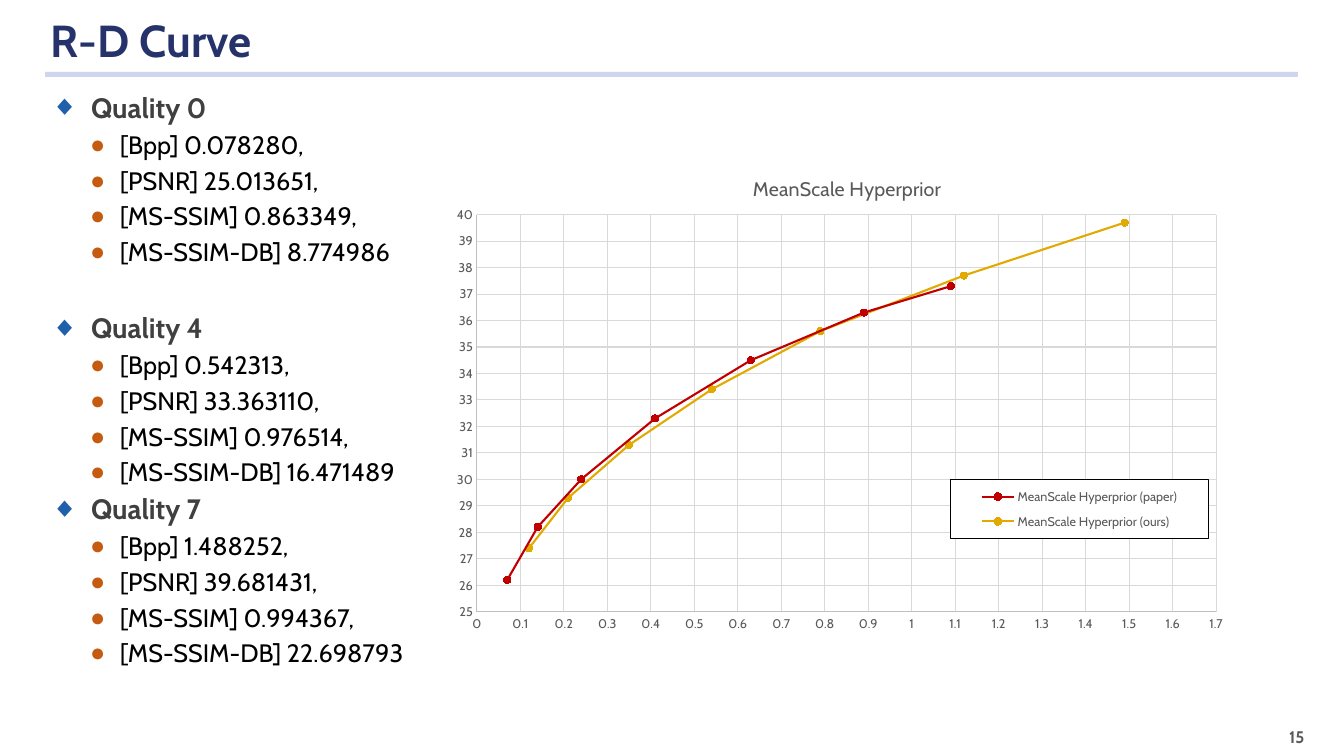
from lxml.etree import SubElement
from pptx import Presentation
from pptx.chart.data import XyChartData
from pptx.dml.color import RGBColor
from pptx.enum.chart import XL_CHART_TYPE, XL_LEGEND_POSITION, XL_MARKER_STYLE, XL_TICK_MARK
from pptx.enum.shapes import MSO_SHAPE
from pptx.enum.text import MSO_ANCHOR, MSO_AUTO_SIZE, PP_ALIGN
from pptx.oxml import parse_xml
from pptx.oxml.ns import nsdecls, qn
from pptx.util import Cm, Pt

FONT = "Cabin"
COLORS = {
    "title": "26336A", "rule": "6275C6", "heading": "404040", "item": "000000",
    "diamond": "2060AA", "dot": "C55A11", "label": "595959", "axis": "BFBFBF",
    "grid": "D9D9D9", "paper": "C00000", "ours": "E2AA00",
}
TITLE = "R-D Curve"
PAGE_NUMBER = "15"
METRICS = ["Bpp", "PSNR", "MS-SSIM", "MS-SSIM-DB"]
QUALITIES = [
    ("Quality 0", 6, ["0.078280,", "25.013651,", "0.863349,", "8.774986"]),
    ("Quality 4", 34, ["0.542313,", "33.363110,", "0.976514,", "16.471489"]),
    ("Quality 7", 6, ["1.488252,", "39.681431,", "0.994367,", "22.698793"]),
]
CHART_TITLE = "MeanScale Hyperprior"
CURVES = [
    ("MeanScale Hyperprior (paper)", "paper",
     [(0.07, 26.2), (0.14, 28.2), (0.24, 30), (0.41, 32.3), (0.63, 34.5), (0.89, 36.3), (1.09, 37.3)]),
    ("MeanScale Hyperprior (ours)", "ours",
     [(0.12, 27.4), (0.21, 29.3), (0.35, 31.3), (0.54, 33.4), (0.79, 35.6), (1.12, 37.7), (1.49, 39.7)]),
]


def color(name):
    return RGBColor.from_string(COLORS[name])


def style_font(font, size, name, bold=False):
    font.name, font.size, font.bold = FONT, Pt(size), bold
    font.color.rgb = color(name)


def style_line(line, name, width):
    line.color.rgb = color(name)
    line.width = Pt(width)


def place(shape, left, top, width, height):
    shape.left, shape.top, shape.width, shape.height = Cm(left), Cm(top), Cm(width), Cm(height)


def add_bullet(paragraph, character, name, margin, hanging):
    properties = paragraph._p.get_or_add_pPr()
    properties.set("marL", str(Cm(margin)))
    properties.set("indent", str(-Cm(hanging)))
    bullet_color = SubElement(properties, qn("a:buClr"))
    SubElement(bullet_color, qn("a:srgbClr")).set("val", COLORS[name])
    SubElement(properties, qn("a:buFont")).set("typeface", "Arial")
    SubElement(properties, qn("a:buChar")).set("char", character)


def set_layout(parent, index, **values):
    for layout in parent.findall(qn("c:layout")):
        parent.remove(layout)
    layout = parent.makeelement(qn("c:layout"), {})
    parent.insert(index, layout)
    manual = SubElement(layout, qn("c:manualLayout"))
    for tag, value in values.items():
        SubElement(manual, qn(f"c:{tag}")).set("val", str(value))


def add_title(slide):
    title = slide.shapes.title
    place(title, 1.02, 0.33, 31.9, 1.5)
    frame = title.text_frame
    frame.text = TITLE
    frame.auto_size = MSO_AUTO_SIZE.NONE
    frame.vertical_anchor = MSO_ANCHOR.MIDDLE
    paragraph = frame.paragraphs[0]
    paragraph.alignment = PP_ALIGN.LEFT
    paragraph.line_spacing = 0.9
    style_font(paragraph.runs[0].font, 32, "title", True)

    rule = slide.shapes.add_shape(MSO_SHAPE.RECTANGLE, Cm(1.14), Cm(1.81), Cm(31.57), Cm(0.13))
    rule.shadow.inherit = False
    rule.fill.solid()
    rule.fill.fore_color.rgb = color("rule")
    rule.line.fill.background()
    fill_color = rule._element.spPr.find(f".//{qn('a:srgbClr')}")
    SubElement(fill_color, qn("a:alpha")).set("val", "30000")


def add_measurements(slide):
    body = slide.placeholders[1]
    place(body, 1.02, 2.24, 31.9, 15.8)
    frame = body.text_frame
    lines = []
    for heading, space, values in QUALITIES:
        lines.append((heading, 0, space))
        lines += [(f"[{metric}] {value}", 1, 6) for metric, value in zip(METRICS, values)]
    frame.text = "\n".join(text for text, _, _ in lines)
    frame.auto_size = MSO_AUTO_SIZE.NONE
    for paragraph, (_, level, space) in zip(frame.paragraphs, lines):
        paragraph.level = level
        paragraph.line_spacing = 0.9
        paragraph.space_before = Pt(space)
        if level:
            add_bullet(paragraph, "●", "dot", 1.75, 0.75)
            style_font(paragraph.runs[0].font, 18, "item")
        else:
            add_bullet(paragraph, "◆", "diamond", 1.02, 1.02)
            style_font(paragraph.runs[0].font, 20, "heading", True)


def style_axis(axis, minimum, maximum, step):
    axis.minimum_scale, axis.maximum_scale, axis.major_unit = minimum, maximum, step
    axis.major_tick_mark = axis.minor_tick_mark = XL_TICK_MARK.NONE
    axis.has_major_gridlines = True
    style_line(axis.major_gridlines.format.line, "grid", 0.75)
    style_line(axis.format.line, "axis", 0.75)
    style_font(axis.tick_labels.font, 9, "label")


def add_legend(chart):
    chart.has_legend = True
    legend = chart.legend
    legend.position = XL_LEGEND_POSITION.RIGHT
    legend.include_in_layout = False
    style_font(legend.font, 9, "label")
    element = legend._element
    set_layout(element, 1, xMode="edge", yMode="edge", x=0.63, y=0.652, w=0.315, h=0.116)
    element.find(qn("c:overlay")).addnext(parse_xml(
        f'<c:spPr {nsdecls("c", "a")}><a:solidFill><a:srgbClr val="FFFFFF"/></a:solidFill>'
        f'<a:ln w="9525"><a:solidFill><a:srgbClr val="{COLORS["item"]}"/></a:solidFill></a:ln></c:spPr>'))


def add_curves(slide):
    data = XyChartData()
    for name, _, points in CURVES:
        series = data.add_series(name)
        for bpp, psnr in points:
            series.add_data_point(bpp, psnr)
    chart = slide.shapes.add_chart(
        XL_CHART_TYPE.XY_SCATTER_SMOOTH, Cm(10.92), Cm(3.81), Cm(20.68), Cm(12.7), data).chart
    style_font(chart.font, 10, "item")
    chart.has_title = True
    chart.chart_title.text_frame.text = CHART_TITLE
    style_font(chart.chart_title.text_frame.paragraphs[0].runs[0].font, 14, "label")
    set_layout(chart.chart_title._element, 1, xMode="edge", yMode="edge", x=0.385, y=0.04)
    set_layout(chart._chartSpace.chart.plotArea, 0, layoutTarget="inner",
               xMode="edge", yMode="edge", x=0.053, y=0.126, w=0.901, h=0.788)
    style_axis(chart.category_axis, 0, 1.7, 0.1)
    style_axis(chart.value_axis, 25, 40, 1)
    chart.plots[0].vary_by_categories = False
    for series, (_, name, _) in zip(chart.plots[0].series, CURVES):
        series.smooth = True
        style_line(series.format.line, name, 1.5)
        marker = series.marker
        marker.style, marker.size = XL_MARKER_STYLE.CIRCLE, 5
        marker.format.fill.solid()
        marker.format.fill.fore_color.rgb = color(name)
        style_line(marker.format.line, name, 0.75)
    add_legend(chart)


def add_page_number(slide):
    frame = slide.shapes.add_textbox(Cm(31.85), Cm(18.16), Cm(1.27), Cm(0.81)).text_frame
    frame.word_wrap = True
    frame.vertical_anchor = MSO_ANCHOR.MIDDLE
    frame.text = PAGE_NUMBER
    frame.paragraphs[0].alignment = PP_ALIGN.RIGHT
    style_font(frame.paragraphs[0].runs[0].font, 12, "label", True)


def main():
    presentation = Presentation()
    presentation.slide_width, presentation.slide_height = Cm(33.87), Cm(19.05)
    slide = presentation.slides.add_slide(presentation.slide_layouts[1])
    add_title(slide)
    add_measurements(slide)
    add_curves(slide)
    add_page_number(slide)
    presentation.save("out.pptx")


if __name__ == "__main__":
    main()
